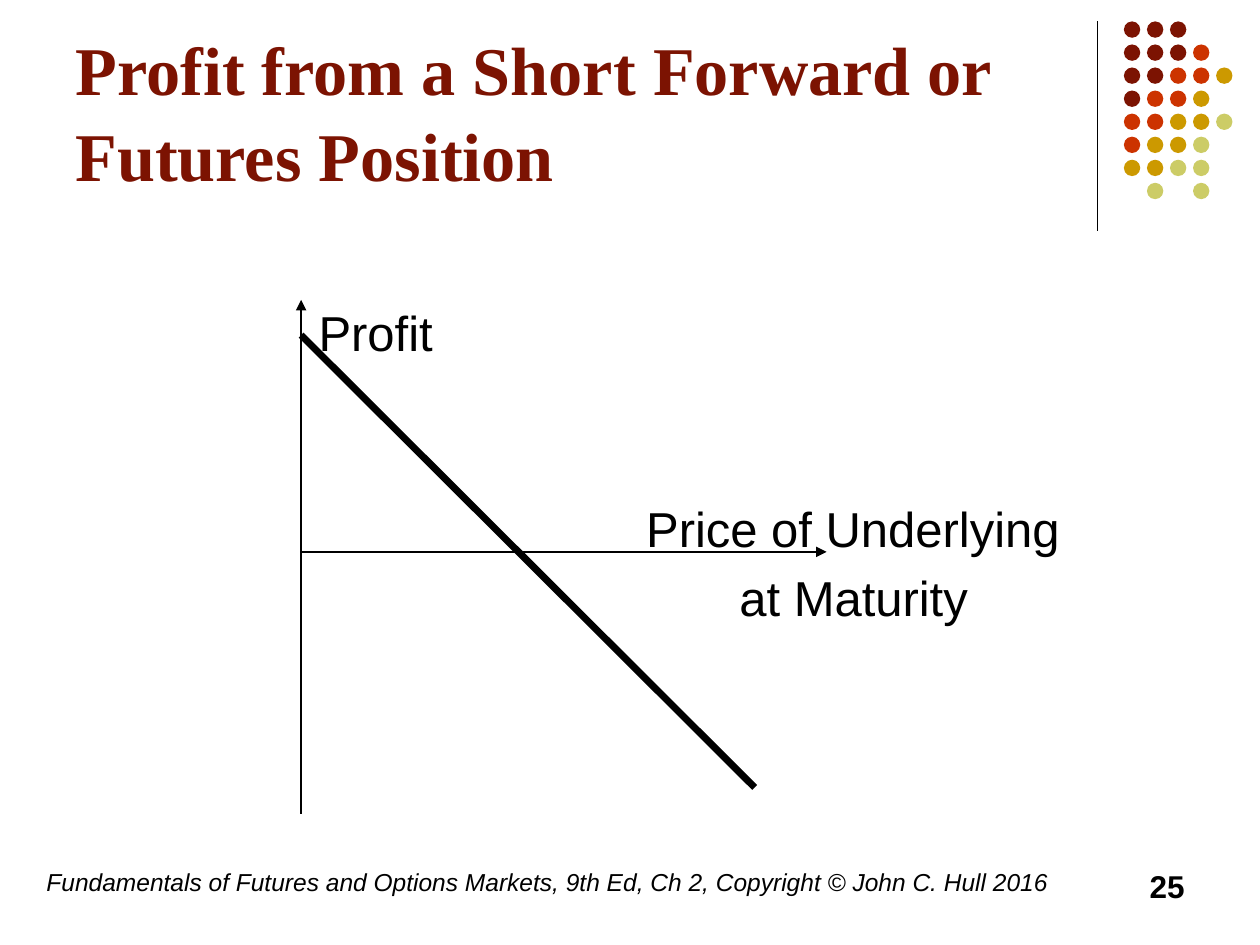
from lxml import etree
from pptx import Presentation
from pptx.dml.color import RGBColor
from pptx.enum.shapes import MSO_CONNECTOR, MSO_SHAPE
from pptx.enum.text import MSO_ANCHOR, MSO_AUTO_SIZE, PP_ALIGN
from pptx.oxml.ns import qn
from pptx.util import Inches, Pt

BLACK = RGBColor(0x00, 0x00, 0x00)
MAROON = RGBColor(0x7C, 0x13, 0x02)
RED = RGBColor(0xCC, 0x33, 0x00)
GOLD = RGBColor(0xCC, 0x99, 0x00)
OLIVE = RGBColor(0xCC, 0xCC, 0x66)

DOT_COLORS = {"M": MAROON, "R": RED, "G": GOLD, "O": OLIVE}
DOT_ROWS = ["MMM", "MMMR", "MMRRG", "MRRG", "RRGGO", "RGGO", "GGOO", " O O"]
DOT_LEFT, DOT_TOP, DOT_PITCH, DOT_SIZE = 8.92, 0.17, 0.183, 0.13

AXIS_X, AXIS_Y = 2.39, 4.38


def add_run(p, text, size, color=BLACK, font="Arial", bold=False, italic=False):
    r = p.add_run()
    r.text = text
    r.font.name = font
    r.font.size = Pt(size)
    r.font.bold = bold
    r.font.italic = italic
    r.font.color.rgb = color


def add_line(s, start, end, width, arrow=None):
    """Draw a line; arrow is "headEnd" (at start) or "tailEnd" (at end)."""
    line = s.shapes.add_connector(
        MSO_CONNECTOR.STRAIGHT, *(Inches(v) for v in (*start, *end)))
    line.line.color.rgb = BLACK
    line.line.width = Pt(width)
    if arrow:
        etree.SubElement(line.line._get_or_add_ln(), qn(f"a:{arrow}"), type="triangle")
    etree.SubElement(line._element.spPr, qn("a:effectLst"))


def add_text_box(s, left, top, width, height, wrap=True):
    box = s.shapes.add_textbox(*(Inches(v) for v in (left, top, width, height)))
    tf = box.text_frame
    tf.word_wrap = wrap
    return tf


def add_axis_label(s, left, top, width, height, text):
    tf = add_text_box(s, left, top, width, height, wrap=False)
    tf.margin_top = Inches(0.09)
    add_run(tf.paragraphs[0], text, 28)
    return tf


def add_title(s):
    title = s.shapes.title
    title.left, title.top = Inches(0.5), Inches(0.13)
    title.width, title.height = Inches(8.25), Inches(1.42)
    tf = title.text_frame
    tf.auto_size = MSO_AUTO_SIZE.NONE
    tf.vertical_anchor = MSO_ANCHOR.MIDDLE
    tf.margin_top = Inches(0.11)
    p = tf.paragraphs[0]
    p.alignment = PP_ALIGN.LEFT
    p.line_spacing = 1.05
    add_run(p, "Profit from a Short Forward or Futures Position", 39,
            MAROON, "Times New Roman", bold=True)


def add_dots(s):
    group = s.shapes.add_group_shape()
    for row, keys in enumerate(DOT_ROWS):
        for col, key in enumerate(keys):
            if key == " ":
                continue
            dot = group.shapes.add_shape(
                MSO_SHAPE.OVAL,
                Inches(DOT_LEFT + col * DOT_PITCH), Inches(DOT_TOP + row * DOT_PITCH),
                Inches(DOT_SIZE), Inches(DOT_SIZE))
            dot.shadow.inherit = False
            dot.fill.solid()
            dot.fill.fore_color.rgb = DOT_COLORS[key]
            dot.line.fill.background()


def add_payoff_diagram(s):
    add_line(s, (AXIS_X, 2.38), (AXIS_X, 6.46), 1, "headEnd")
    add_line(s, (AXIS_X, AXIS_Y), (6.56, AXIS_Y), 1, "tailEnd")
    add_axis_label(s, 2.43, 2.31, 1.11, 0.56, "Profit")
    tf = add_axis_label(s, 5.03, 3.87, 3.49, 1.1, "Price of Underlying")
    p = tf.add_paragraph()
    p.space_before = Pt(5.5)
    p._p.get_or_add_pPr().set("marL", str(Inches(0.74)))
    add_run(p, "at Maturity", 28)
    add_line(s, (AXIS_X, 2.66), (5.99, 6.25), 4)


def add_footer(s):
    tf = add_text_box(s, 0.27, 6.83, 8.27, 0.5)
    add_run(tf.paragraphs[0],
            "Fundamentals of Futures and Options Markets, 9th Ed, Ch 2, "
            "Copyright © John C. Hull 2016", 14, italic=True)
    p = add_text_box(s, 7.17, 6.83, 2.33, 0.5).paragraphs[0]
    p.alignment = PP_ALIGN.RIGHT
    add_run(p, "25", 18, bold=True)


def main():
    prs = Presentation()
    prs.slide_width, prs.slide_height = Inches(10), Inches(7.5)
    s = prs.slides.add_slide(prs.slide_layouts[5])
    add_line(s, (8.71, 0.17), (8.71, 1.83), 0.75)
    add_dots(s)
    add_title(s)
    add_payoff_diagram(s)
    add_footer(s)
    prs.save("out.pptx")


if __name__ == "__main__":
    main()
